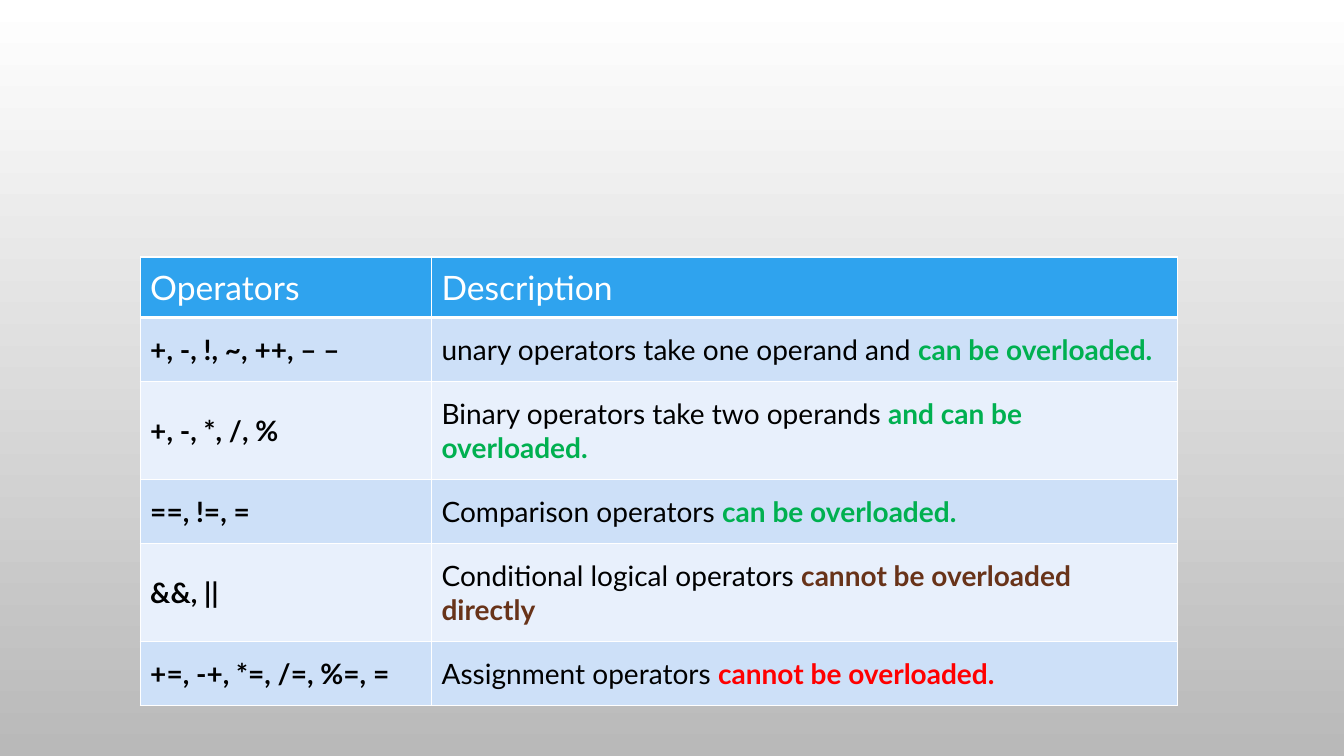
from lxml import etree
from pptx import Presentation
from pptx import util as u
from pptx.dml.color import RGBColor
from pptx.enum import text
from pptx.oxml.ns import qn

WHITE, BLACK, HEADER_BLUE = "FFFFFF", "000000", "2FA3EE"
BANDS = ["CDE0F8", "E8F0FC"]
GREEN, BROWN, RED = "00B050", "683319", "FF0000"
HEADINGS = ["Operators", "Description"]
# Operators, description, verdict, verdict colour
OPERATOR_RULES = [
    ("+, -, !, ~, ++, – –", "unary operators take one operand and ", "can be overloaded.", GREEN),
    ("+, -, *, /, %", "Binary operators take two operands ", "and can be overloaded.", GREEN),
    ("==, !=, =", "Comparison operators ", "can be overloaded.", GREEN),
    ("&&, ||", "Conditional logical operators ", "cannot be overloaded directly", BROWN),
    ("+=, -+, *=, /=, %=, =", "Assignment operators ", "cannot be overloaded.", RED),
]


def colour(hex_value):
    return RGBColor.from_string(hex_value)


def set_all(target, values):
    for name, value in values.items():
        setattr(target, name, value)


def border_cell(cell, widths):
    """Draw white edges; widths maps each edge tag to its points."""
    properties = cell._tc.get_or_add_tcPr()
    for position, (edge, points) in enumerate(widths.items()):
        line = etree.Element(qn(f"a:{edge}"), w=str(u.Pt(points)))
        fill = etree.SubElement(line, qn("a:solidFill"))
        etree.SubElement(fill, qn("a:srgbClr"), val=WHITE)
        properties.insert(position, line)


def fill_cell(cell, runs, fill, size, margin, widths):
    """Write runs of (wording, colour, bold) into a filled, bordered cell."""
    set_all(cell, {
        "vertical_anchor": text.MSO_ANCHOR.MIDDLE,
        "margin_left": u.Inches(0.1), "margin_right": u.Inches(0.1),
        "margin_top": u.Inches(margin), "margin_bottom": u.Inches(margin),
    })
    cell.fill.solid()
    cell.fill.fore_color.rgb = colour(fill)
    paragraph = cell.text_frame.paragraphs[0]
    for wording, ink, bold in runs:
        run = paragraph.add_run()
        run.text = wording
        set_all(run.font, {"name": "Lato", "size": u.Pt(size), "bold": bold})
        run.font.color.rgb = colour(ink)
    border_cell(cell, widths)


def add_background(slide):
    gradient = slide.background.fill
    gradient.gradient()
    gradient.gradient_angle = 270
    for stop, shade in zip(gradient.gradient_stops, [WHITE, "B9B9B9"]):
        stop.color.rgb = colour(shade)


def add_operator_table(slide, left, top, width, height):
    row_count = len(OPERATOR_RULES) + 1
    table = slide.shapes.add_table(
        row_count, len(HEADINGS), *map(u.Inches, (left, top, width, height))).table
    operators_width = 2.89
    for column, column_width in zip(table.columns, [operators_width, width - operators_width]):
        column.width = u.Inches(column_width)

    # Header row, with a heavier rule below it
    thin = {"lnL": 1, "lnR": 1, "lnT": 1, "lnB": 1}
    for column, heading in enumerate(HEADINGS):
        fill_cell(table.cell(0, column), [(heading, WHITE, False)],
                  HEADER_BLUE, 24, 0.1, {**thin, "lnB": 3})

    # Banded operator rows
    for row, (operators, description, verdict, ink) in enumerate(OPERATOR_RULES, 1):
        widths = {**thin, "lnT": 3 if row == 1 else 1}
        contents = [[(operators, BLACK, True)],
                    [(description, BLACK, False), (verdict, ink, True)]]
        for column, runs in enumerate(contents):
            fill_cell(table.cell(row, column), runs, BANDS[(row - 1) % 2], 20, 0.15, widths)


def main():
    deck = Presentation()
    set_all(deck, {"slide_width": u.Inches(13.33), "slide_height": u.Inches(7.5)})
    slide = deck.slides.add_slide(deck.slide_layouts[6])
    add_background(slide)
    # Rows grow to fit their wording
    add_operator_table(slide, 1.39, 2.55, 10.29, 2.46)
    deck.save("out.pptx")


if __name__ == "__main__":
    main()
